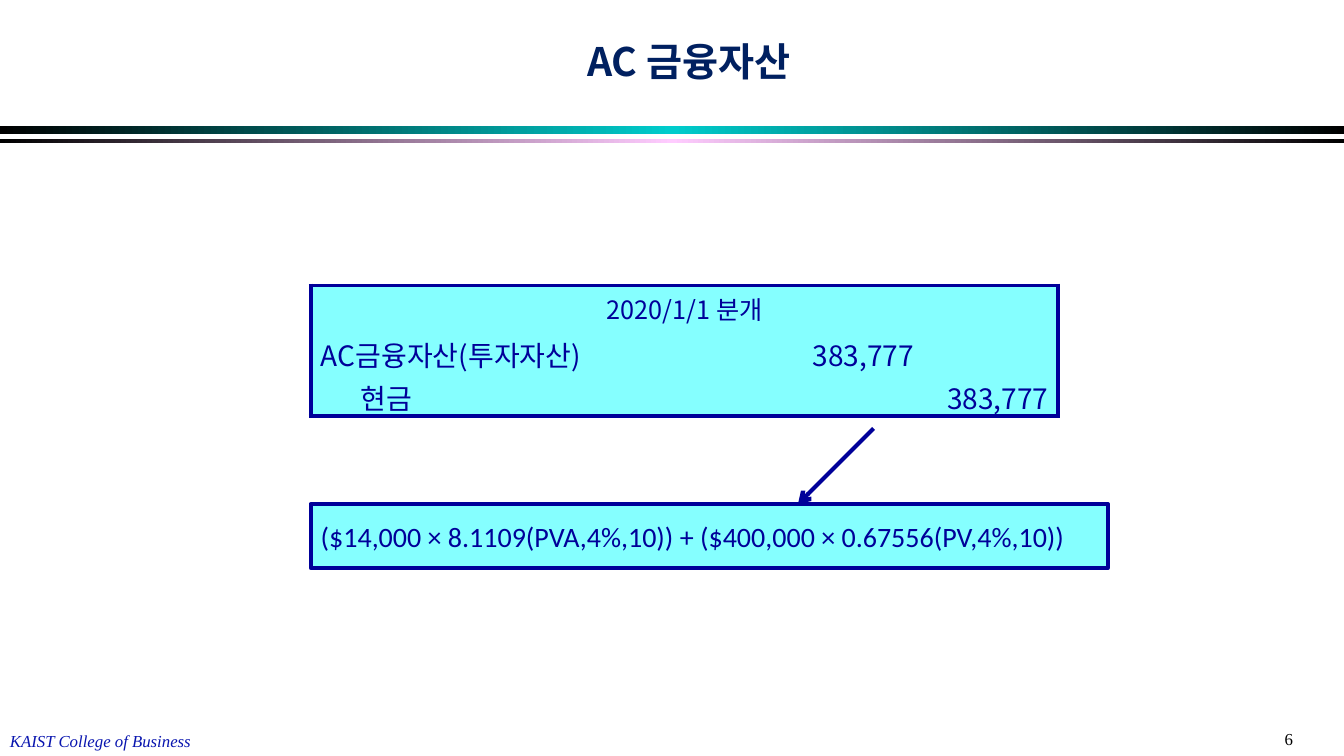
import copy
import pptx
import pptx.util
import pptx.dml.color
import pptx.enum.shapes
import pptx.enum.text
import pptx.oxml
import pptx.oxml.ns
from lxml import etree

PX = 9525
RGB = pptx.dml.color.RGBColor
BLACK = RGB(0x00, 0x00, 0x00)
TEAL = RGB(0x00, 0xCC, 0xCC)
PINK = RGB(0xFF, 0xCC, 0xFF)
NAVY = RGB(0x00, 0x20, 0x60)
INK = RGB(0x00, 0x00, 0x99)
AQUA = RGB(0x85, 0xFF, 0xFF)
FOOTER_BLUE = RGB(0x09, 0x15, 0xAF)
KOREAN = "Noto Sans CJK KR"
ALIGN = pptx.enum.text.PP_ALIGN
ANCHOR = pptx.enum.text.MSO_ANCHOR
RECTANGLE = pptx.enum.shapes.MSO_SHAPE.RECTANGLE
qn = pptx.oxml.ns.qn


def px(*lengths):
    return [length * PX for length in lengths]


def write(frame, text, align, **font_format):
    para = frame.paragraphs[0]
    para.alignment = align
    span = para.add_run()
    span.text = text
    for name, value in font_format.items():
        if name == "color":
            span.font.color.rgb = value
        else:
            setattr(span.font, name, value)
    east_asian = etree.SubElement(span.font._element, qn("a:ea"))
    east_asian.set("typeface", font_format["name"])


deck = pptx.Presentation()
deck.slide_width, deck.slide_height = px(1280, 720)
page = deck.slides.add_slide(deck.slide_layouts[6])

for top, height, middle in [(120, 8, TEAL), (132, 4, PINK)]:
    bar = page.shapes.add_shape(RECTANGLE, *px(0, top, 1280, height))
    bar.shadow.inherit = False
    bar.line.fill.background()
    bar.fill.gradient()
    bar.fill.gradient_angle = 0
    stop_list = bar._element.spPr.find(".//" + qn("a:gsLst"))
    stop_list.append(copy.deepcopy(stop_list[0]))
    for stop, position, color in zip(bar.fill.gradient_stops, (0, 0.5, 1), (BLACK, middle, BLACK)):
        stop.position = position
        stop.color.rgb = color

labels = [
    ("6", (1214, 689, 75, 29), True, ANCHOR.TOP, ALIGN.LEFT,
     {"size": 12, "name": "Times New Roman", "color": BLACK}),
    ("KAIST College of Business", (0, 691, 194, 29), False, ANCHOR.TOP, ALIGN.LEFT,
     {"size": 12, "name": "Times New Roman", "color": FOOTER_BLUE, "italic": True}),
    ("AC 금융자산", (225, -3, 862, 88), True, ANCHOR.BOTTOM, ALIGN.CENTER,
     {"size": 28, "name": KOREAN, "color": NAVY, "bold": True}),
]
for text, place, wrap, anchor, align, font_format in labels:
    box = page.shapes.add_textbox(*px(*place))
    box.text_frame.word_wrap = wrap
    box.text_frame.vertical_anchor = anchor
    font_format["size"] = pptx.util.Pt(font_format["size"])
    write(box.text_frame, text, align, **font_format)

entries = [
    ["2020/1/1 분개", "", ""],
    ["AC금융자산(투자자산)", "383,777", ""],
    ["현금", "", "383,777"],
]
journal = page.shapes.add_table(3, 3, *px(296, 272, 712, 123)).table
for column, width in zip(journal.columns, px(456, 128, 128)):
    column.width = width
for r, row in enumerate(entries):
    journal.rows[r].height = 41 * PX
    for c, text in enumerate(row):
        cell = journal.cell(r, c)
        cell.fill.solid()
        cell.fill.fore_color.rgb = AQUA
        cell.vertical_anchor = ANCHOR.TOP if r == 2 else ANCHOR.BOTTOM
        align = ALIGN.CENTER if r == 0 else ALIGN.RIGHT if c else ALIGN.LEFT
        if text:
            write(cell.text_frame, text, align, size=pptx.util.Pt(20 if r else 18),
                  name=KOREAN, color=INK)
        outer_edges = {"lnL": c == 0, "lnR": c == 2 or r == 0, "lnT": r == 0, "lnB": r == 2}
        for place, (edge, drawn) in enumerate(outer_edges.items()):
            border = etree.Element(qn("a:" + edge), w=str(pptx.util.Pt(3)))
            if drawn:
                paint = etree.SubElement(border, qn("a:solidFill"))
                etree.SubElement(paint, qn("a:srgbClr"), val=str(INK))
            else:
                etree.SubElement(border, qn("a:noFill"))
            cell._tc.tcPr.insert(place, border)
journal.cell(0, 0).merge(journal.cell(0, 2))
cash = journal.cell(2, 0).text_frame.paragraphs[0]
cash._p.get_or_add_pPr().set("marL", str(38 * PX))
cash._p.get_or_add_pPr().set("indent", "0")

formula = page.shapes.add_shape(RECTANGLE, *px(296, 480, 759, 61))
formula.shadow.inherit = False
formula.fill.solid()
formula.fill.fore_color.rgb = AQUA
formula.text_frame.word_wrap = True
formula.text_frame.vertical_anchor = ANCHOR.MIDDLE
write(formula.text_frame, "($14,000 × 8.1109(PVA,4%,10)) + ($400,000 × 0.67556(PV,4%,10))",
      ALIGN.LEFT, size=pptx.util.Pt(20), name="Calibri", color=INK)

arrow = page.shapes.add_connector(pptx.enum.shapes.MSO_CONNECTOR.STRAIGHT, *px(832, 408, 760, 480))
for outlined in (formula, arrow):
    outlined.line.color.rgb = INK
    outlined.line.width = pptx.util.Pt(3)
etree.SubElement(arrow.line._get_or_add_ln(), qn("a:tailEnd"), type="arrow")
etree.SubElement(arrow._element.spPr, qn("a:effectLst"))

deck.save("out.pptx")
